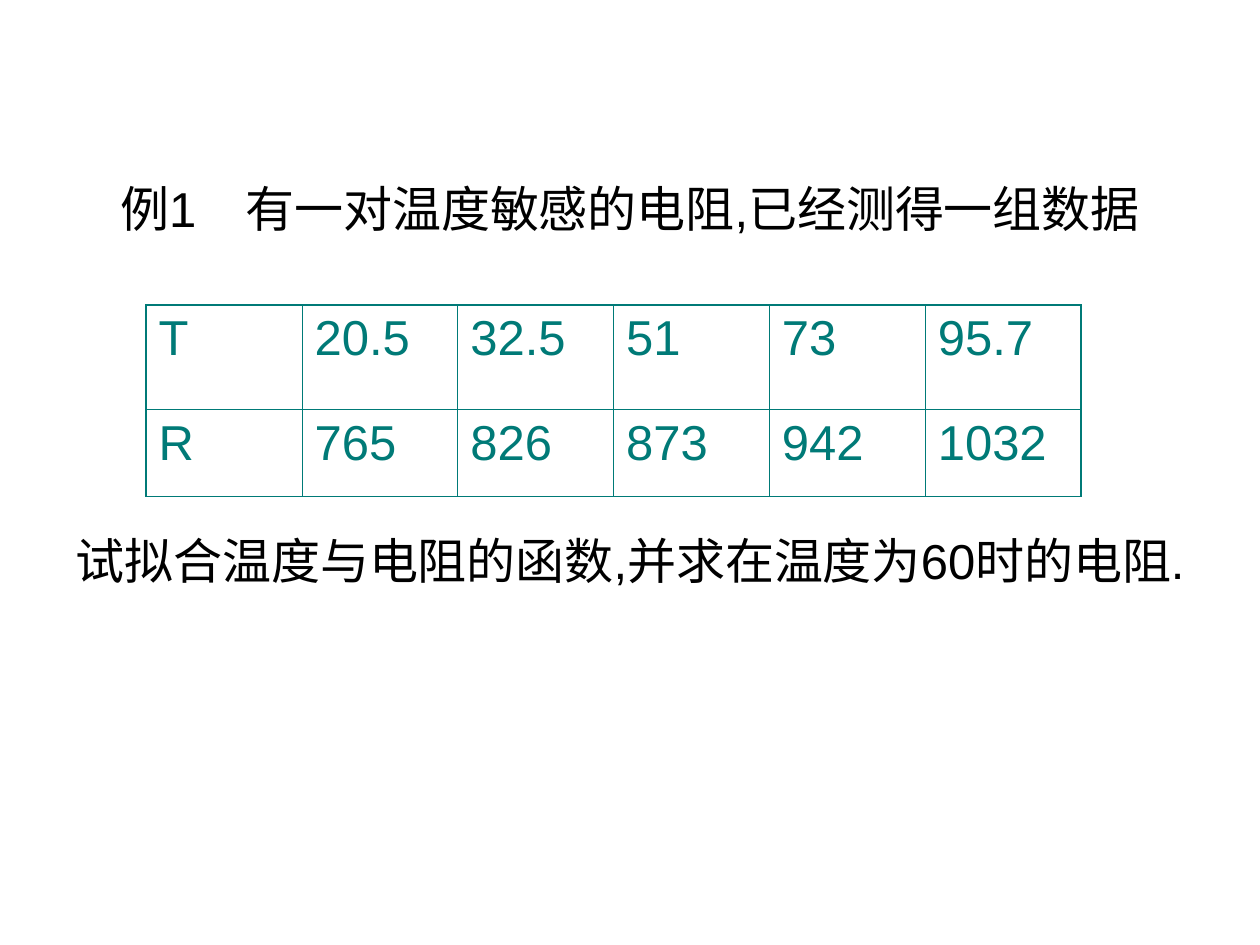
from lxml import etree
from pptx import Presentation
from pptx.dml.color import RGBColor
from pptx.enum.text import MSO_ANCHOR, MSO_AUTO_SIZE, PP_ALIGN
from pptx.oxml.ns import qn
from pptx.util import Inches, Pt

CENTER = PP_ALIGN.CENTER
MIDDLE = MSO_ANCHOR.MIDDLE
NO_AUTOFIT = MSO_AUTO_SIZE.NONE

COLORS = {"problem": "000000", "table": "007A77"}
FONT = "Arial"
TEXT_SIZE = Pt(28)
OUTER_LINE, INNER_LINE = Pt(1.08), Pt(0.45)

PROBLEM = [
    "例1　有一对温度敏感的电阻,已经测得一组数据",
    "试拟合温度与电阻的函数,并求在温度为60时的电阻.",
]
MEASUREMENTS = [
    ["T", "20.5", "32.5", "51", "73", "95.7"],
    ["R", "765", "826", "873", "942", "1032"],
]


def style_paragraph(paragraph, color):
    """Apply the slide's font to every run of a paragraph."""
    for run in paragraph.runs:
        run.font.name = FONT
        run.font.size = TEXT_SIZE
        run.font.color.rgb = RGBColor.from_string(COLORS[color])


def add_problem(slide, left, top, width, height):
    """Place the problem statement, leaving room for the table between its parts."""
    title = slide.shapes.title
    title.left, title.top, title.width, title.height = left, top, width, height
    frame = title.text_frame
    frame.text = "\n".join(PROBLEM)
    frame.auto_size = NO_AUTOFIT
    frame.word_wrap = True
    frame.vertical_anchor = MIDDLE
    frame.margin_left = frame.margin_right = Inches(0.2)
    for paragraph in frame.paragraphs:
        paragraph.alignment = CENTER
        style_paragraph(paragraph, "problem")
    frame.paragraphs[1].space_before = Pt(167.5)


def set_borders(cell, widths):
    """Draw the left, right, top and bottom borders of a cell."""
    properties = cell._tc.get_or_add_tcPr()
    for index, (side, width) in enumerate(zip("LRTB", widths)):
        line = etree.Element(qn(f"a:ln{side}"), w=str(int(width)))
        fill = etree.SubElement(line, qn("a:solidFill"))
        etree.SubElement(fill, qn("a:srgbClr"), val=COLORS["table"])
        properties.insert(index, line)


def add_measurements(slide, left, top, width, row_heights):
    """Place the table of temperatures and resistances."""
    row_count, column_count = len(MEASUREMENTS), len(MEASUREMENTS[0])
    table = slide.shapes.add_table(
        row_count, column_count, left, top, width, sum(row_heights)
    ).table
    table.first_row = table.horz_banding = False
    for row, height in zip(table.rows, row_heights):
        row.height = height
    for r, values in enumerate(MEASUREMENTS):
        for c, value in enumerate(values):
            cell = table.cell(r, c)
            cell.text = value
            cell.fill.background()
            style_paragraph(cell.text_frame.paragraphs[0], "table")
            on_edge = (c == 0, c == column_count - 1, r == 0, r == row_count - 1)
            set_borders(cell, [OUTER_LINE if edge else INNER_LINE for edge in on_edge])


def main():
    """Build the slide and save it."""
    presentation = Presentation()
    presentation.slide_width, presentation.slide_height = Inches(10), Inches(7.5)
    slide = presentation.slides.add_slide(presentation.slide_layouts[5])
    add_problem(slide, Inches(0.33), Inches(0.67), Inches(9.34), Inches(4.75))
    add_measurements(
        slide, Inches(1.16), Inches(2.42), Inches(7.42), [Inches(0.83), Inches(0.69)]
    )
    presentation.save("out.pptx")


if __name__ == "__main__":
    main()
